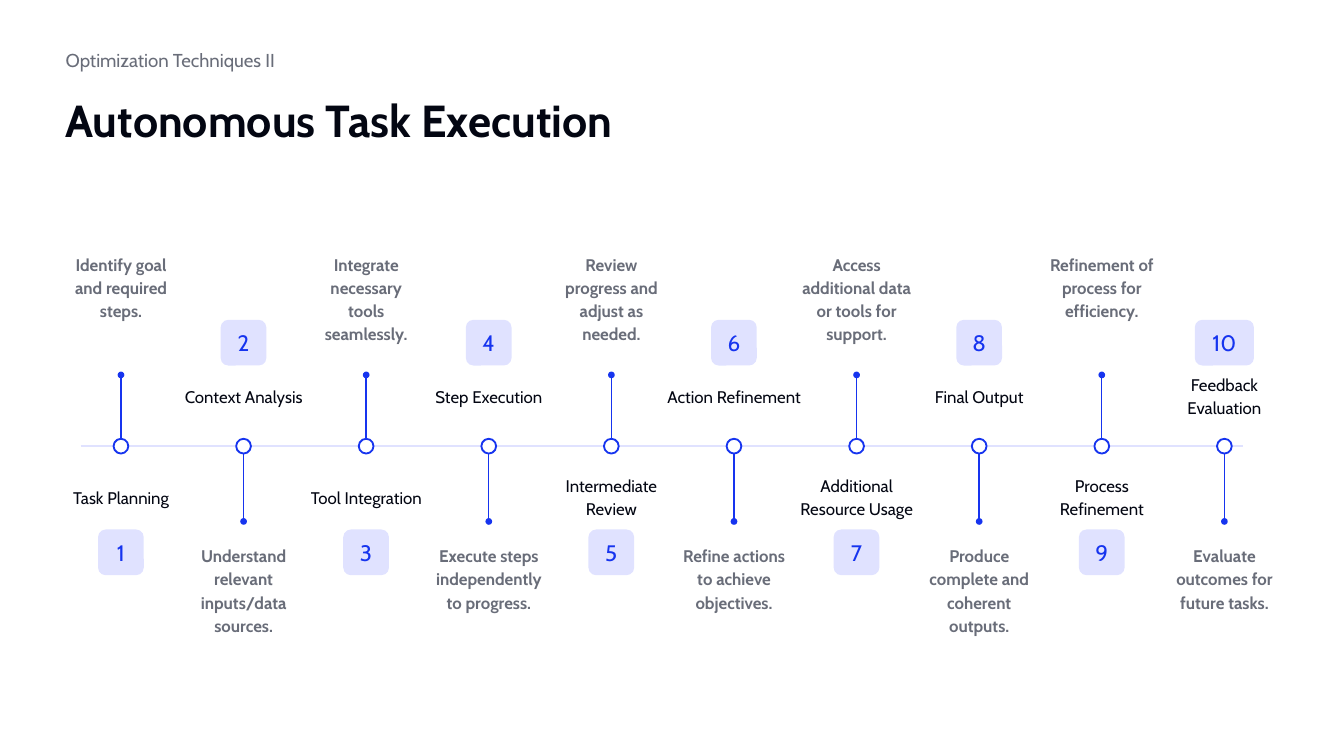
from lxml import etree
from pptx import Presentation
from pptx.dml.color import RGBColor
from pptx.enum.shapes import MSO_CONNECTOR, MSO_SHAPE
from pptx.enum.text import MSO_ANCHOR, PP_ALIGN
from pptx.oxml.ns import qn
from pptx.util import Inches, Pt

LINE = MSO_CONNECTOR.STRAIGHT
OVAL, ROUND = MSO_SHAPE.OVAL, MSO_SHAPE.ROUNDED_RECTANGLE
TOP, MIDDLE = MSO_ANCHOR.TOP, MSO_ANCHOR.MIDDLE
LEFT, CENTER = PP_ALIGN.LEFT, PP_ALIGN.CENTER

FONT = "Cabin"
INK, GRAY, BLUE, PALE, WHITE = "030612", "696D79", "1634EF", "E0E2FF", "FFFFFF"

TOPIC = "Optimization Techniques II"
TITLE = "Autonomous Task Execution"
STEPS = [
    ("Task Planning", "Identify goal and required steps."),
    ("Context Analysis", "Understand relevant inputs/data sources."),
    ("Tool Integration", "Integrate necessary tools seamlessly."),
    ("Step Execution", "Execute steps independently to progress."),
    ("Intermediate Review", "Review progress and adjust as needed."),
    ("Action Refinement", "Refine actions to achieve objectives."),
    ("Additional Resource Usage", "Access additional data or tools for support."),
    ("Final Output", "Produce complete and coherent outputs."),
    ("Process Refinement", "Refinement of process for efficiency."),
    ("Feedback Evaluation", "Evaluate outcomes for future tasks."),
]

WIDE = 10
HIGH = WIDE * 9 / 16
EDGE = 0.39
COL = 1.02
FIRST, LAST = EDGE + COL / 2, 9.11
PITCH = (LAST - FIRST) / (len(STEPS) - 1)
AXIS = 3.32
RING, DOT, BADGE = 0.11, 0.05, 0.34
ABOVE = {"note": 1.77, "name": 3.55, "badge": 3.94, "tip": 2.79, "rim": AXIS - RING / 2}
BELOW = {"note": 3.94, "name": 2.8, "badge": 2.38, "tip": 3.88, "rim": AXIS + RING / 2}


def color(code):
    return RGBColor.from_string(code)


def write(shape, text, size, ink, bold=False, align=CENTER, anchor=MIDDLE,
          inset=0.1, space=1.0):
    frame = shape.text_frame
    frame.word_wrap = True
    frame.vertical_anchor = anchor
    frame.margin_left = frame.margin_right = Inches(inset)
    frame.margin_top = frame.margin_bottom = Inches(inset)
    para = frame.paragraphs[0]
    para.text = text
    para.alignment = align
    para.line_spacing = space
    font = para.font
    font.name, font.size, font.bold = FONT, Pt(size), bold
    font.color.rgb = color(ink)


def label(slide, box, *args, **style):
    write(slide.shapes.add_textbox(*map(Inches, box)), *args, **style)


def rule(slide, start, end, ink):
    line = slide.shapes.add_connector(LINE, *map(Inches, start + end))
    line.line.color.rgb = color(ink)
    line.line.width = Pt(0.75)
    etree.SubElement(line._element.spPr, qn("a:effectLst"))


def solid(slide, kind, mid, top, wide, high, fill, edge=None):
    box = (mid - wide / 2, top, wide, high)
    shape = slide.shapes.add_shape(kind, *map(Inches, box))
    shape.shadow.inherit = False
    shape.fill.solid()
    shape.fill.fore_color.rgb = color(fill)
    if edge:
        shape.line.color.rgb = color(edge)
        shape.line.width = Pt(1)
    else:
        shape.line.fill.background()
    return shape


def step(slide, index, name, note):
    mid = FIRST + index * PITCH
    row = BELOW if index % 2 else ABOVE
    left = mid - COL / 2
    rule(slide, (mid, row["tip"]), (mid, row["rim"]), BLUE)
    solid(slide, OVAL, mid, AXIS - RING / 2, RING, RING, WHITE, BLUE)
    solid(slide, OVAL, mid, row["tip"] - DOT / 2, DOT, DOT, BLUE)
    label(slide, (left, row["note"], COL, 1), note, 9, GRAY, bold=True,
          anchor=TOP, space=1.15)
    label(slide, (left, row["name"], COL, 0.28), name, 9, INK, inset=0, space=1.15)
    number = str(index + 1)
    wide = BADGE + 0.1 * (len(number) - 1)
    badge = solid(slide, ROUND, mid, row["badge"], wide, BADGE, PALE)
    badge.adjustments[0] = 0.167
    write(badge, number, 12, BLUE)


def main():
    """Build the ten-step timeline slide."""
    deck = Presentation()
    deck.slide_width, deck.slide_height = Inches(WIDE), Inches(HIGH)
    slide = deck.slides.add_slide(deck.slide_layouts[6])
    label(slide, (EDGE, 0.59, WIDE - 2 * EDGE, 0.9), TITLE, 24, INK, bold=True,
          align=LEFT, anchor=TOP)
    label(slide, (EDGE, 0.31, 2.36, 0.28), TOPIC, 10, GRAY, align=LEFT)
    rule(slide, (0.6, AXIS), (9.25, AXIS), PALE)
    for index, (name, note) in enumerate(STEPS):
        step(slide, index, name, note)
    deck.save("out.pptx")


if __name__ == "__main__":
    main()
